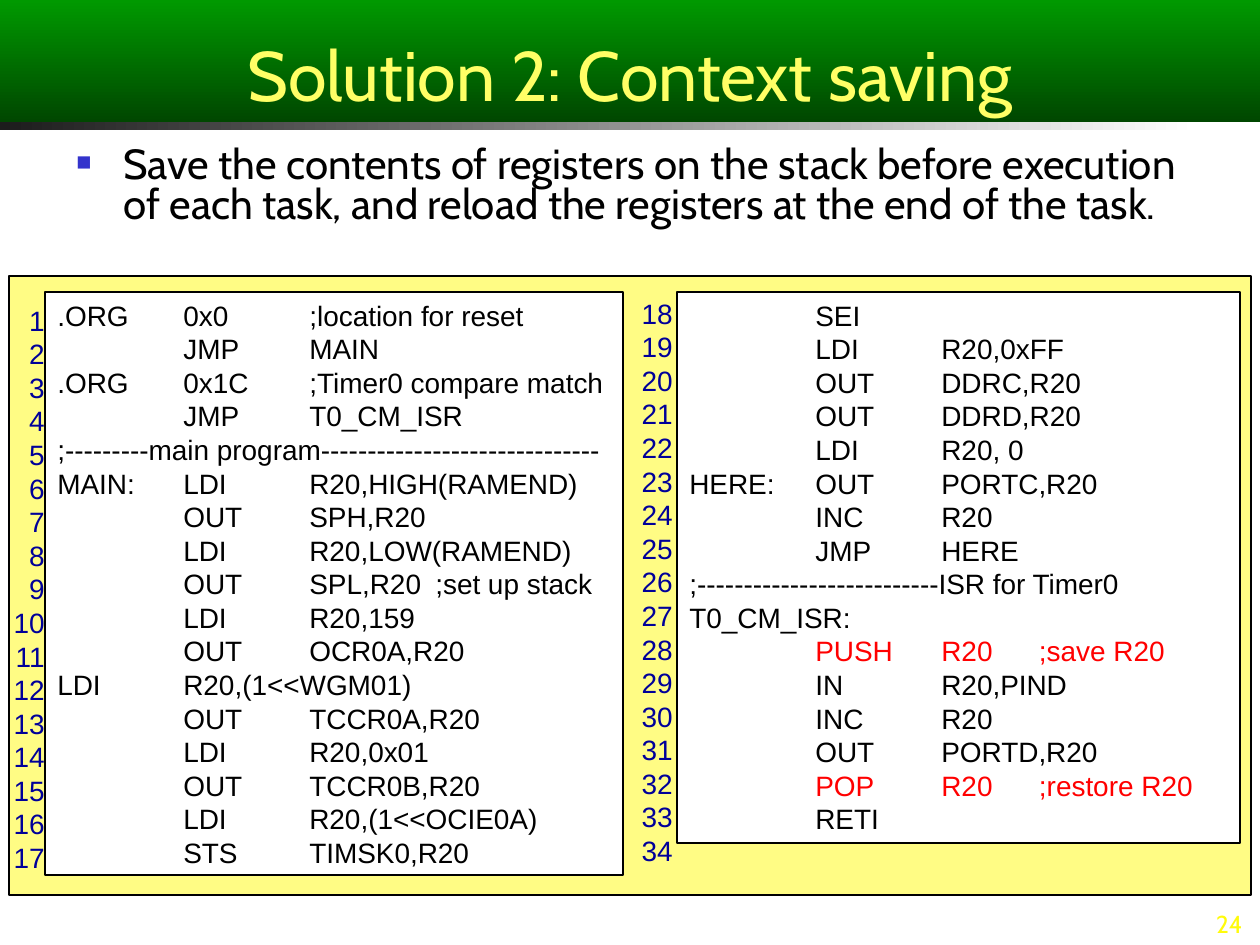
from dataclasses import dataclass

from lxml.etree import SubElement
from pptx import Presentation
from pptx.dml.color import RGBColor
from pptx.enum.shapes import MSO_SHAPE as SHAPE
from pptx.enum.text import MSO_ANCHOR as ANCHOR, MSO_AUTO_SIZE as AUTO, PP_ALIGN as ALIGN
from pptx.oxml.ns import qn
from pptx.util import Emu, Inches, Pt

EMU_PER_PX = 914400 / 126
RED_OPS = ("PUSH", "POP")

LEFT_CODE = """.ORG\t0x0\t;location for reset
\tJMP\tMAIN
.ORG\t0x1C\t;Timer0 compare match
\tJMP\tT0_CM_ISR
;---------main program------------------------------
MAIN:\tLDI\tR20,HIGH(RAMEND)
\tOUT\tSPH,R20
\tLDI\tR20,LOW(RAMEND)
\tOUT\tSPL,R20\t;set up stack
\tLDI\tR20,159
\tOUT\tOCR0A,R20\t\tLDI\tR20,(1<<WGM01)
\tOUT\tTCCR0A,R20
\tLDI\tR20,0x01
\tOUT\tTCCR0B,R20
\tLDI\tR20,(1<<OCIE0A)
\tSTS\tTIMSK0,R20"""

RIGHT_CODE = """\tSEI
\tLDI\tR20,0xFF
\tOUT\tDDRC,R20
\tOUT\tDDRD,R20
\tLDI\tR20, 0
HERE:\tOUT\tPORTC,R20
\tINC\tR20
\tJMP\tHERE
;--------------------------ISR for Timer0
T0_CM_ISR:
\tPUSH\tR20      ;save R20
\tIN\tR20,PIND
\tINC\tR20
\tOUT\tPORTD,R20
\tPOP\tR20      ;restore R20
\tRETI"""


@dataclass
class Box:
    x: int
    y: int
    w: int
    h: int

    def emu(self) -> list[Emu]:
        return [px(v) for v in (self.x, self.y, self.w, self.h)]


@dataclass
class CodePanel:
    box: Box
    numbers_box: Box
    first: int
    last: int
    code: str


PANELS = [
    CodePanel(Box(45, 292, 578, 583), Box(-11, 297, 68, 583), 1, 17, LEFT_CODE),
    CodePanel(Box(677, 292, 563, 551), Box(617, 290, 68, 583), 18, 34, RIGHT_CODE),
]


def px(value: int) -> Emu:
    return Emu(round(value * EMU_PER_PX))


def rgb(color: str) -> RGBColor:
    return RGBColor.from_string(color)


def add_tabs(p, count: int) -> None:
    tabs = SubElement(p._p.get_or_add_pPr(), qn("a:tabLst"))
    for inch in range(1, count + 1):
        SubElement(tabs, qn("a:tab"), pos=str(Inches(inch)), algn="l")


def add_bullet(p, char: str, color: str, percent: int, indent: int) -> None:
    pPr = p._p.get_or_add_pPr()
    pPr.set("marL", str(px(indent)))
    pPr.set("indent", str(-px(indent)))
    SubElement(SubElement(pPr, qn("a:buClr")), qn("a:srgbClr"), val=color)
    SubElement(pPr, qn("a:buSzPct"), val=str(percent * 1000))
    SubElement(pPr, qn("a:buFont"), typeface="Arial")
    SubElement(pPr, qn("a:buChar"), char=char)


def write(tf, text: str, *, size: int, font: str, color: str, align=ALIGN.LEFT,
          anchor=ANCHOR.TOP, tabs: int = 0, red_ops: tuple = ()) -> None:
    tf.word_wrap = True
    tf.auto_size = AUTO.NONE
    tf.vertical_anchor = anchor
    for i, line in enumerate(text.split("\n")):
        p = tf.add_paragraph() if i else tf.paragraphs[0]
        p.alignment = align
        if tabs:
            add_tabs(p, tabs)
        r = p.add_run()
        r.text = line
        r.font.size = Pt(size)
        r.font.name = font
        is_red = line.strip().startswith(red_ops) if red_ops else False
        r.font.color.rgb = rgb("FF0000" if is_red else color)


def fill_gradient(s, start: str, end: str, angle: int) -> None:
    s.fill.gradient()
    s.fill.gradient_angle = angle
    for stop, color in zip(s.fill.gradient_stops, (start, end)):
        stop.color.rgb = rgb(color)


def add_rect(slide, box: Box, fill: str = "", line: str = ""):
    s = slide.shapes.add_shape(SHAPE.RECTANGLE, *box.emu())
    s.shadow.inherit = False
    if fill:
        s.fill.solid()
        s.fill.fore_color.rgb = rgb(fill)
    if line:
        s.line.color.rgb = rgb(line)
        s.line.width = Pt(0.75)
    else:
        s.line.fill.background()
    return s


def add_text(slide, box: Box, text: str, **fmt):
    s = slide.shapes.add_textbox(*box.emu())
    write(s.text_frame, text, **fmt)
    return s


def add_panel(slide, panel: CodePanel) -> None:
    s = add_rect(slide, panel.box, "FFFFFF", "000000")
    write(s.text_frame, panel.code, size=16, font="Arial", color="000000",
          tabs=7, red_ops=RED_OPS)
    numbers = "\n".join(str(n) for n in range(panel.first, panel.last + 1))
    add_text(slide, panel.numbers_box, numbers, size=16, font="Arial",
             color="000099", align=ALIGN.RIGHT)


def main() -> None:
    prs = Presentation()
    prs.slide_width, prs.slide_height = px(1260), px(945)
    slide = prs.slides.add_slide(prs.slide_layouts[5])

    title = slide.shapes.title
    title.left, title.top, title.width, title.height = Box(0, 0, 1260, 122).emu()
    fill_gradient(title, "009900", "004700", 270)
    write(title.text_frame, "Solution 2: Context saving", size=40, font="Cabin",
          color="FFFF66", align=ALIGN.CENTER, anchor=ANCHOR.BOTTOM)

    fill_gradient(add_rect(slide, Box(0, 122, 1198, 8)), "1C1C1C", "FFFFFF", 0)

    body = add_text(slide, Box(64, 141, 1145, 146),
                    "Save the contents of registers on the stack before execution "
                    "of each task, and reload the registers at the end of the task.",
                    size=24, font="Cabin", color="000000")
    p = body.text_frame.paragraphs[0]
    add_bullet(p, "■", "3333CC", 60, 47)
    p.line_spacing = 0.8

    add_rect(slide, Box(9, 276, 1242, 619), "FFFC84", "000000")
    for panel in PANELS:
        add_panel(slide, panel)

    add_text(slide, Box(987, 910, 268, 35), "24", size=14, font="Cabin",
             color="FFFB0B", align=ALIGN.RIGHT, anchor=ANCHOR.BOTTOM)
    prs.save("out.pptx")


if __name__ == "__main__":
    main()
